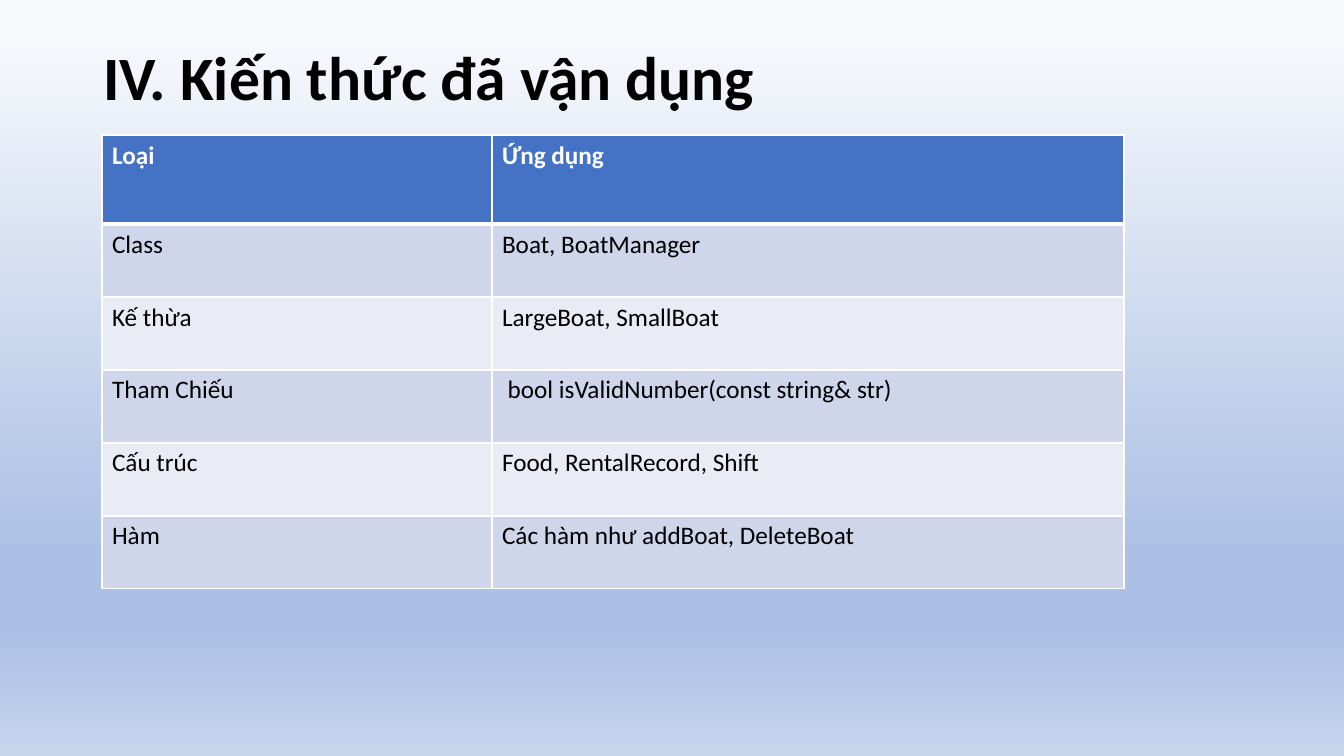
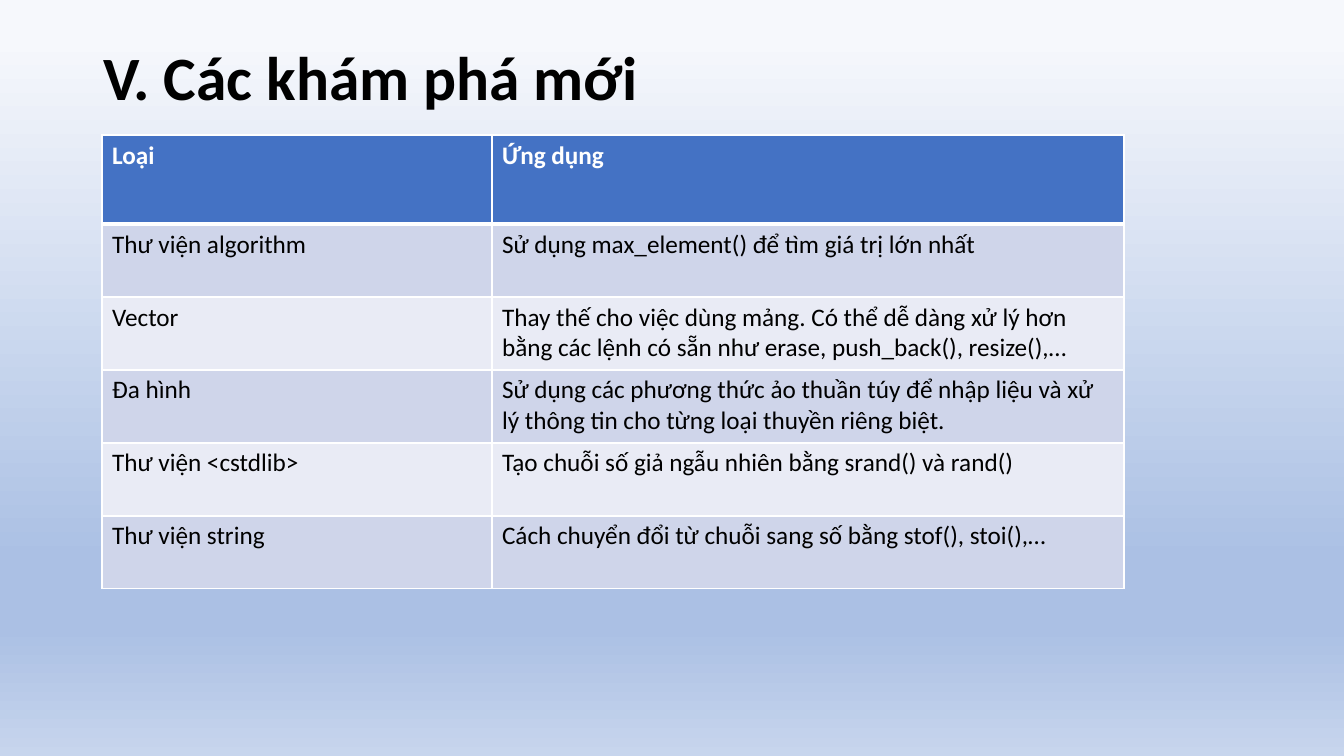
import copy

import pptx
import pptx.dml.color
import pptx.enum.text
import pptx.oxml
import pptx.oxml.ns
import pptx.util

RGBColor = pptx.dml.color.RGBColor
BLACK = RGBColor(0x00, 0x00, 0x00)
WHITE = RGBColor(0xFF, 0xFF, 0xFF)
HEADER_BLUE = RGBColor(0x44, 0x72, 0xC4)
BAND_COLOURS = (RGBColor(0xCF, 0xD5, 0xEA), RGBColor(0xE9, 0xEB, 0xF5))
SKY_STOPS = [
    (0.05, RGBColor(0xF6, 0xF8, 0xFC)),
    (0.74, RGBColor(0xAB, 0xC0, 0xE4)),
    (0.83, RGBColor(0xAB, 0xC0, 0xE4)),
    (1.00, RGBColor(0xC7, 0xD5, 0xED)),
]
FONT = "Calibri"

HEADINGS = ("Loại", "Ứng dụng")
PAGES = [
    ("IV. Kiến thức đã vận dụng", [
        ("Class", "Boat, BoatManager"),
        ("Kế thừa", "LargeBoat, SmallBoat"),
        ("Tham Chiếu", " bool isValidNumber(const string& str)"),
        ("Cấu trúc", "Food, RentalRecord, Shift"),
        ("Hàm", "Các hàm như addBoat, DeleteBoat"),
    ]),
    ("V. Các khám phá mới", [
        ("Thư viện algorithm", "Sử dụng max_element() để tìm giá trị lớn nhất"),
        ("Vector", "Thay thế cho việc dùng mảng. Có thể dễ dàng xử lý hơn "
                   "bằng các lệnh có sẵn như erase, push_back(), resize(),…"),
        ("Đa hình", "Sử dụng các phương thức ảo thuần túy để nhập liệu và xử "
                    "lý thông tin cho từng loại thuyền riêng biệt."),
        ("Thư viện <cstdlib>", "Tạo chuỗi số giả ngẫu nhiên bằng srand() và rand()"),
        ("Thư viện string", "Cách chuyển đổi từ chuỗi sang số bằng stof(), stoi(),…"),
    ]),
]

PAGE_SIZE = (1344, 756)
TITLE_BOX = (93, 26, 1159, 109)
TABLE_LEFT, TABLE_TOP = 102, 135
COLUMN_WIDTHS = (390, 632)
HEADER_HEIGHT, ROW_HEIGHT = 89, 73


def px(length):
    return pptx.util.Emu(round(length * 914400 / 100.8))


def write(frame, text, size=18, colour=BLACK, bold=False, spacing=None):
    para = frame.paragraphs[0]
    para.alignment = pptx.enum.text.PP_ALIGN.LEFT
    para.line_spacing = spacing
    span = para.add_run()
    span.text = text
    span.font.name = FONT
    span.font.size = pptx.util.Pt(size)
    span.font.bold = bold
    span.font.color.rgb = colour


def set_background(master):
    fill = master.background.fill
    fill.gradient()
    fill.gradient_angle = 270  # counter-clockwise, so the colours run downwards
    stop_list = master.element.xpath("./p:cSld/p:bg//a:gsLst")[0]
    while len(stop_list) < len(SKY_STOPS):
        stop_list.append(copy.deepcopy(stop_list[-1]))
    for stop, (position, colour) in zip(fill.gradient_stops, SKY_STOPS):
        stop.position = position
        stop.color.rgb = colour


def set_borders(cell, top=1, bottom=1):
    """Draw white borders, with widths in points."""
    properties = cell._tc.get_or_add_tcPr()
    widths = {"lnL": 1, "lnR": 1, "lnT": top, "lnB": bottom}
    for index, (side, width) in enumerate(widths.items()):
        properties.insert(index, pptx.oxml.parse_xml(
            f'<a:{side} {pptx.oxml.ns.nsdecls("a")} w="{pptx.util.Pt(width)}">'
            f'<a:solidFill><a:srgbClr val="{WHITE}"/></a:solidFill></a:{side}>'))


def add_topic_table(page, topics):
    rows = [HEADINGS, *topics]
    heights = [HEADER_HEIGHT] + [ROW_HEIGHT] * len(topics)
    table = page.shapes.add_table(
        len(rows), len(HEADINGS), px(TABLE_LEFT), px(TABLE_TOP),
        px(sum(COLUMN_WIDTHS)), px(sum(heights))).table
    for column, width in zip(table.columns, COLUMN_WIDTHS):
        column.width = px(width)
    for r, (texts, height) in enumerate(zip(rows, heights)):
        table.rows[r].height = px(height)
        header = r == 0
        for c, text in enumerate(texts):
            cell = table.cell(r, c)
            cell.fill.solid()
            cell.fill.fore_color.rgb = HEADER_BLUE if header else BAND_COLOURS[(r - 1) % 2]
            set_borders(cell, top=3 if r == 1 else 1, bottom=3 if header else 1)
            write(cell.text_frame, text, colour=WHITE if header else BLACK, bold=header)


def add_page(deck, heading, topics):
    page = deck.slides.add_slide(deck.slide_layouts[5])
    title = page.shapes.title
    title.left, title.top, title.width, title.height = map(px, TITLE_BOX)
    title.text_frame.vertical_anchor = pptx.enum.text.MSO_ANCHOR.MIDDLE
    write(title.text_frame, heading, size=44, bold=True, spacing=0.9)
    add_topic_table(page, topics)


def main():
    deck = pptx.Presentation()
    deck.slide_width, deck.slide_height = map(px, PAGE_SIZE)
    set_background(deck.slide_master)
    for heading, topics in PAGES:
        add_page(deck, heading, topics)
    deck.save("out.pptx")


if __name__ == "__main__":
    main()
